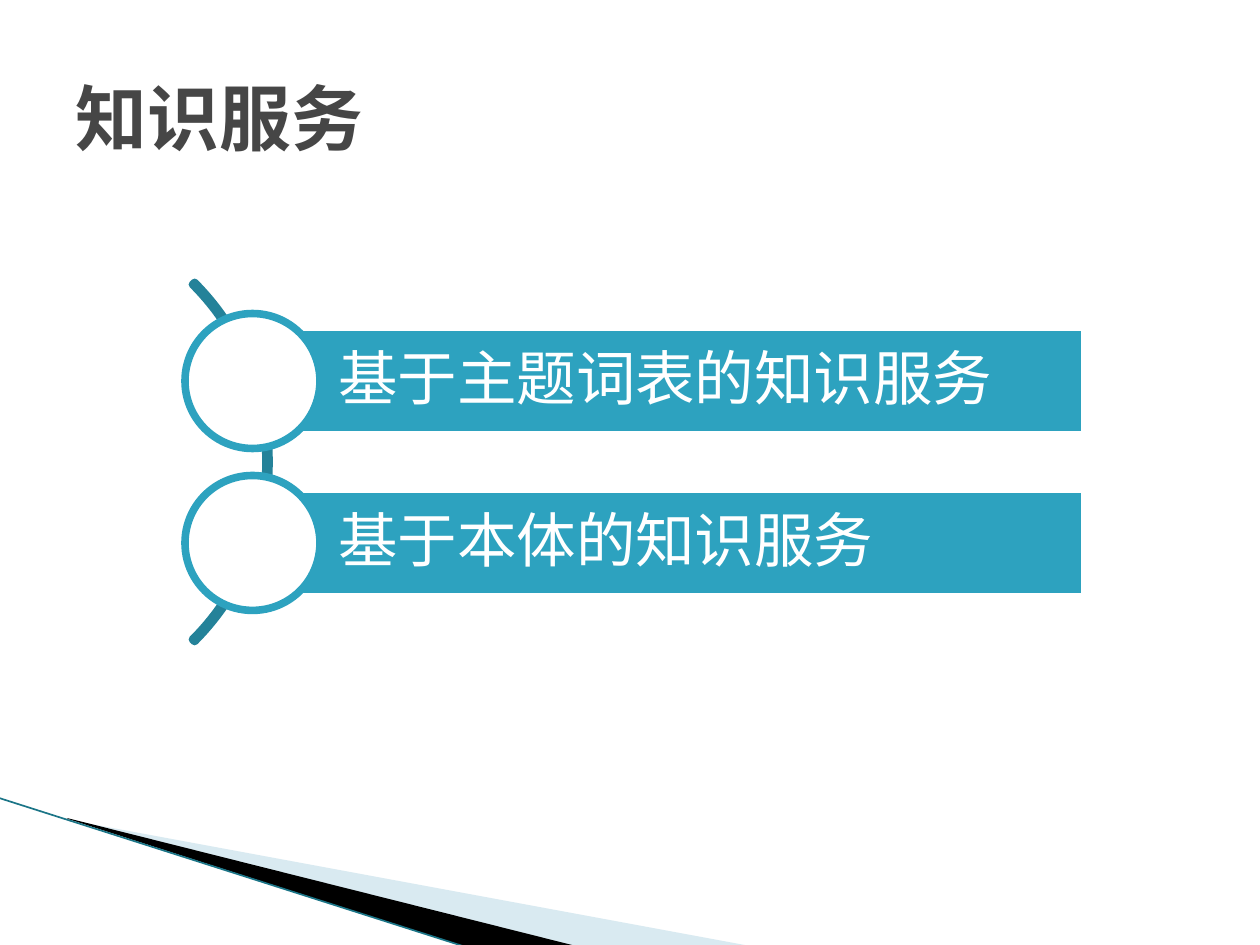
from dataclasses import dataclass

from lxml import etree
from pptx import Presentation
from pptx.dml.color import RGBColor
from pptx.enum.shapes import MSO_CONNECTOR, MSO_SHAPE
from pptx.enum.text import MSO_ANCHOR, PP_ALIGN
from pptx.oxml.ns import qn
from pptx.util import Pt

PX = 914400 / 126
RECTANGLE, OVAL, BLOCK_ARC = MSO_SHAPE.RECTANGLE, MSO_SHAPE.OVAL, MSO_SHAPE.BLOCK_ARC
STRAIGHT = MSO_CONNECTOR.STRAIGHT
MIDDLE, LEFT = MSO_ANCHOR.MIDDLE, PP_ALIGN.LEFT


@dataclass(frozen=True)
class Theme:
    font: str = "Courier New"
    title_size: float = 41
    item_size: float = 34
    outline: float = 4.33
    hairline: float = 0.95
    title: str = "464646"
    accent: str = "2DA2BF"
    arc: str = "248299"
    edge: str = "1B7587"
    pale: str = "A0CBDC"
    white: str = "FFFFFF"
    black: str = "000000"


THEME = Theme()


def px(value):
    return round(value * PX)


def paint(shape, fill=None, line=None):
    """Set the fill and outline; None leaves that part empty."""
    shape.shadow.inherit = False
    if fill:
        shape.fill.solid()
        shape.fill.fore_color.rgb = RGBColor.from_string(fill)
    else:
        shape.fill.background()
    if line:
        shape.line.color.rgb = RGBColor.from_string(line)
        shape.line.width = Pt(THEME.outline)
    else:
        shape.line.fill.background()


def add_preset(slide, kind, box, **colours):
    shape = slide.shapes.add_shape(kind, *map(px, box))
    paint(shape, **colours)
    return shape


def write_text(shape, text, size, colour, bold=False, insets=(13, 6, 13, 6), spacing=1.0):
    frame = shape.text_frame
    frame.word_wrap = True
    frame.vertical_anchor = MIDDLE
    frame.margin_left, frame.margin_top, frame.margin_right, frame.margin_bottom = map(px, insets)
    paragraph = frame.paragraphs[0]
    paragraph.alignment = LEFT
    paragraph.line_spacing = spacing
    run = paragraph.add_run()
    run.text = text
    run.font.name = THEME.font
    run.font.size = Pt(size)
    run.font.bold = bold
    run.font.color.rgb = RGBColor.from_string(colour)
    east_asian = etree.SubElement(run.font._element, qn("a:ea"))
    east_asian.set("typeface", THEME.font)


def add_polygon(slide, points, fill, opacity=100):
    builder = slide.shapes.build_freeform(*points[0], scale=PX)
    builder.add_line_segments(points[1:], close=True)
    shape = builder.convert_to_shape()
    paint(shape, fill=fill)
    if opacity < 100:
        colour = shape.fill._xPr.find(".//" + qn("a:srgbClr"))
        etree.SubElement(colour, qn("a:alpha")).set("val", str(opacity * 1000))


def add_corner_wedges(slide, box):
    """Draw the decorative wedges that fan out from the left edge."""
    left, top, width, height = box
    bottom = top + height
    pale_points = [(left + 69, top + 22), (left + width, bottom),
                   (left + 575, bottom), (left + 69, top + 21)]
    black_points = [(left + 67, top + 20), (left + 576, bottom),
                    (left + 469, bottom + 2), (left + 68, top + 21)]
    add_polygon(slide, pale_points, THEME.pale, opacity=40)
    add_polygon(slide, black_points, THEME.black)
    edge = slide.shapes.add_connector(
        STRAIGHT, *map(px, (left - 1, top, left + 469, bottom + 2)))
    edge.line.color.rgb = RGBColor.from_string(THEME.edge)
    edge.line.width = Pt(THEME.hairline)
    etree.SubElement(edge._element.spPr, qn("a:effectLst"))


def add_title(slide, box, text):
    title = slide.shapes.add_textbox(*map(px, box))
    write_text(title, text, THEME.title_size, THEME.title, bold=True)


def add_curved_list(slide, box, items):
    """Place bars with round markers along an arc, one row for each item."""
    left, top, width, height = box
    diameter, pitch, bar_height, arc_size = 135, 162, 107, 508
    arc_box = (left - 424, top + (height - arc_size) / 2, arc_size, arc_size)
    arc = add_preset(slide, BLOCK_ARC, arc_box, line=THEME.arc)
    # Angles of 315 and 45 degrees, then the band's thickness
    for index, value in enumerate((189, 27, 0.006)):
        arc.adjustments[index] = value

    first_marker = top + (height - pitch * (len(items) - 1) - diameter) / 2
    bar_left = left + diameter / 2
    for row, item in enumerate(items):
        marker_top = first_marker + row * pitch
        bar_top = marker_top + (diameter - bar_height) / 2
        bar_box = (bar_left, bar_top, left + width - bar_left, bar_height)
        bar = add_preset(slide, RECTANGLE, bar_box, fill=THEME.accent, line=THEME.white)
        write_text(bar, item, THEME.item_size, THEME.white,
                   insets=(86, 11, 11, 11), spacing=0.9)
        add_preset(slide, OVAL, (left, marker_top, diameter, diameter),
                   fill=THEME.white, line=THEME.accent)


def main():
    presentation = Presentation()
    presentation.slide_width, presentation.slide_height = px(1260), px(945)
    slide = presentation.slides.add_slide(presentation.slide_layouts[6])
    add_corner_wedges(slide, (0, 798, 750, 148))
    add_title(slide, (63, 38, 1134, 158), "知识服务")
    add_curved_list(slide, (185, 282, 900, 360),
                    ["基于主题词表的知识服务", "基于本体的知识服务"])
    presentation.save("out.pptx")


if __name__ == "__main__":
    main()
